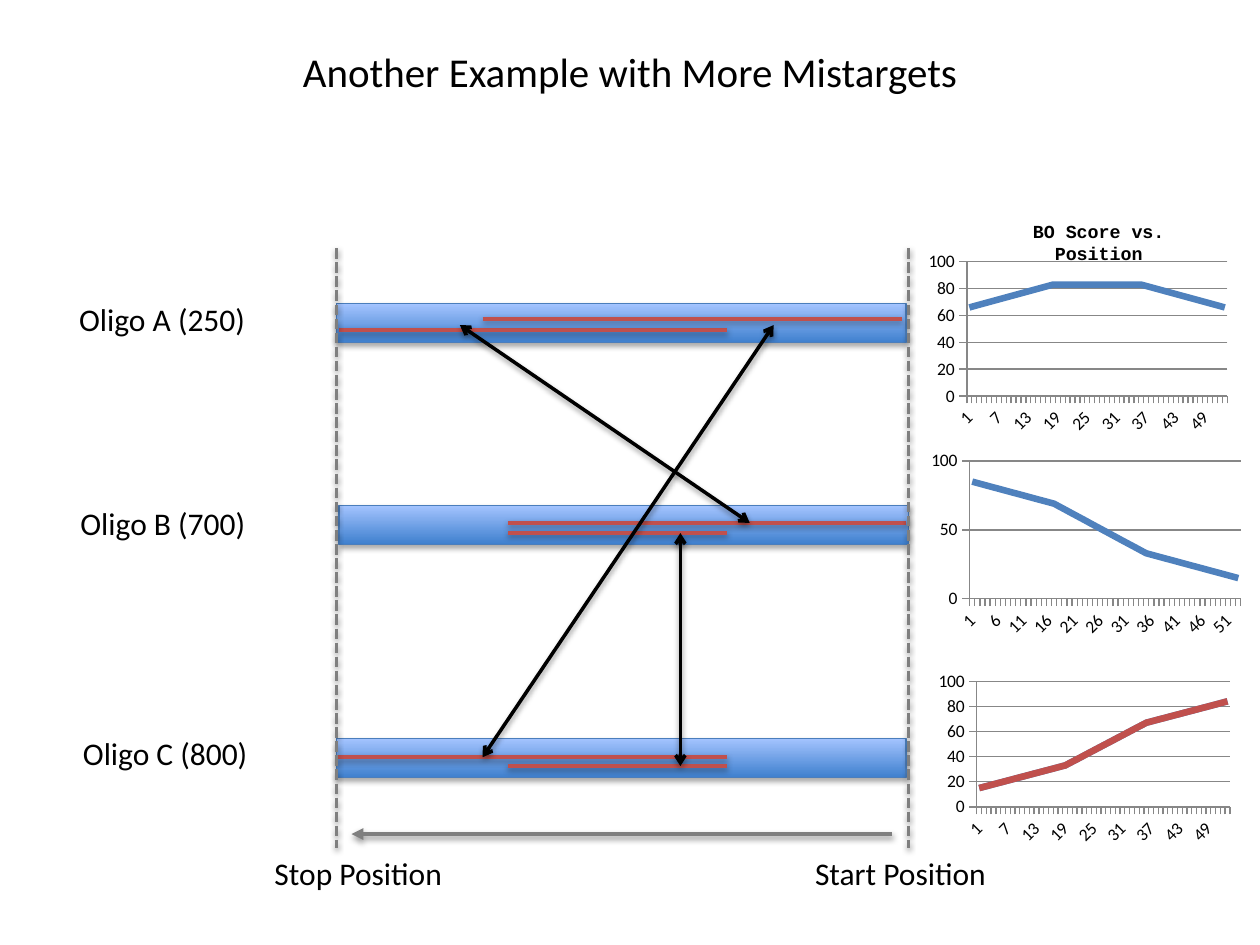
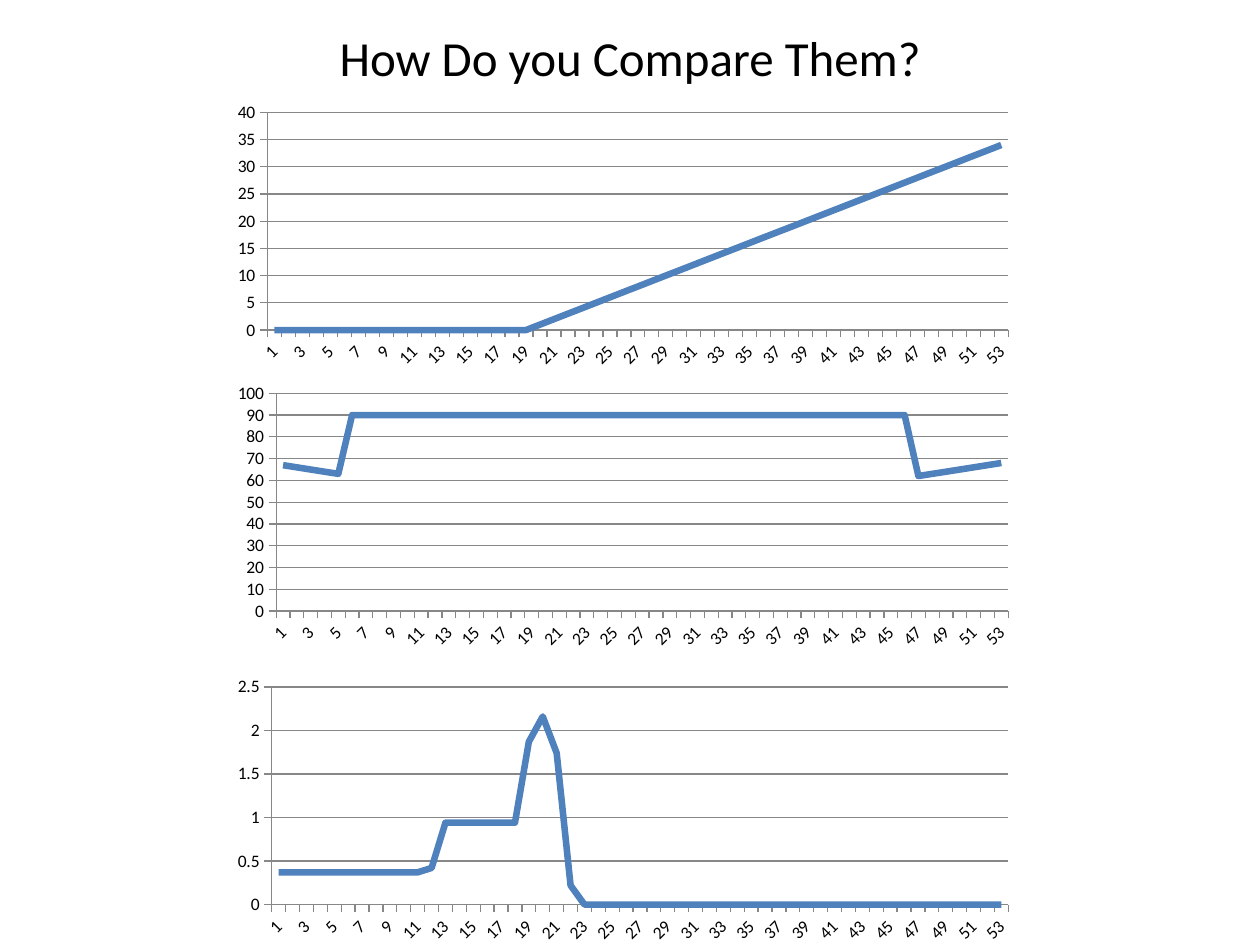
from lxml.etree import SubElement as Sub
from pptx import Presentation
from pptx.chart.data import CategoryChartData as Data
from pptx.dml.color import RGBColor
from pptx.enum.chart import XL_CHART_TYPE as Kind, XL_TICK_MARK as Tick
from pptx.enum.dml import MSO_LINE as Dash
from pptx.enum.shapes import MSO_CONNECTOR as Conn, MSO_SHAPE as Form
from pptx.enum.text import MSO_ANCHOR as Anchor, MSO_AUTO_SIZE as Fit, PP_ALIGN as Align
from pptx.oxml.ns import qn
from pptx.util import Inches, Pt

BLACK, GRAY, RED, BLUE = "000000", "7F7F7F", "C0504D", "4F81BD"
EDGE, DARK, LIGHT, GRID = "4B7EBC", "3F80CE", "A4C4FF", "878787"
BODY, MONO = "Calibri", "Courier New"


def tint(code):
    return RGBColor.from_string(code)


def span(*sizes):
    return [Inches(size) for size in sizes]


class Deck:
    """Holds the shared style and the slide being filled."""

    def __init__(self):
        self.show = Presentation()
        self.show.slide_width, self.show.slide_height = span(10, 7.5)

    def page(self, text, top, high, size):
        self.slide = self.show.slides.add_slide(self.show.slide_layouts[5])
        title = self.slide.shapes.title
        title.left, title.top, title.width, title.height = span(0.5, top, 9, high)
        title.text_frame.vertical_anchor = Anchor.MIDDLE
        self.letter(title.text_frame, text, size, align=Align.CENTER)

    def letter(self, frame, text, size, face=BODY, bold=False, align=Align.LEFT):
        frame.text = text
        para = frame.paragraphs[0]
        para.alignment = align
        font = para.font
        font.name, font.size, font.bold = face, Pt(size), bold
        font.color.rgb = tint(BLACK)

    def label(self, text, left, top, wide, high=0.4, size=18, wrap=False, **style):
        box = self.slide.shapes.add_textbox(*span(left, top, wide, high))
        frame = box.text_frame
        frame.word_wrap = wrap
        frame.auto_size = Fit.SHAPE_TO_FIT_TEXT
        self.letter(frame, text, size, **style)

    def shade(self, item, alpha, dist):
        props = item._element.spPr
        cast = Sub(Sub(props, qn("a:effectLst")), qn("a:outerShdw"), blurRad="40000",
                   dist=str(dist), dir="5400000", rotWithShape="0")
        black = Sub(cast, qn("a:srgbClr"), val=BLACK)
        Sub(black, qn("a:alpha"), val=str(alpha * 1000))

    def bar(self, left, top):
        bar = self.slide.shapes.add_shape(Form.RECTANGLE, *span(left, top, 4.52, 0.31))
        bar.fill.gradient()
        bar.fill.gradient_angle = 90
        for stop, code in zip(bar.fill.gradient_stops, (DARK, LIGHT)):
            stop.color.rgb = tint(code)
        bar.line.color.rgb = tint(EDGE)
        bar.line.width = Pt(0.75)
        self.shade(bar, 35, 23000)

    def line(self, ends, code, width=2, dash=None, head=None, tail=None):
        link = self.slide.shapes.add_connector(Conn.STRAIGHT, *span(*ends))
        link.line.color.rgb = tint(code)
        link.line.width = Pt(width)
        if dash:
            link.line.dash_style = dash
        stroke = link._element.spPr.find(qn("a:ln"))
        for tag, tip in (("a:headEnd", head), ("a:tailEnd", tail)):
            if tip:
                Sub(stroke, qn(tag), type=tip)
        self.shade(link, 38, 20000)

    def plot(self, place, *rows, step=None):
        data = Data()
        data.categories = [str(spot) for spot in range(1, 54)]
        for count, row in enumerate(rows, 1):
            data.add_series(f"Series {count}", row)
        chart = self.slide.shapes.add_chart(Kind.LINE, *span(*place), data).chart
        chart.has_title = chart.has_legend = False
        chart.font.name, chart.font.size = BODY, Pt(10)
        chart.font.color.rgb = tint(BLACK)
        chart.plots[0].vary_by_categories = False
        for row, code in zip(chart.plots[0].series, (BLUE, RED)):
            row.smooth = False
            row.format.line.color.rgb = tint(code)
            row.format.line.width = Pt(3.75)
        level = chart.value_axis
        level.has_major_gridlines = True
        if step:
            level.major_unit = step
        for axis in (chart.category_axis, level):
            axis.major_tick_mark = Tick.OUTSIDE
        for part in (chart.category_axis, level, level.major_gridlines):
            part.format.line.color.rgb = tint(GRID)
            part.format.line.width = Pt(0.75)


def targets(deck):
    deck.page("Another Example with More Mistargets", 0.17, 0.79, 23.4)
    for left, top in ((2.67, 2.41), (2.69, 4.01), (2.67, 5.86)):
        deck.bar(left, top)
    for start, end, high in ((2.69, 5.77, 2.62), (4.03, 7.19, 4.15), (2.68, 5.77, 6.01),
                             (3.83, 7.16, 2.53), (4.03, 5.77, 4.23), (4.03, 5.77, 6.08)):
        deck.line((start, high, end, high), RED)
    for ends in ((6.14, 2.58, 3.83, 6.01), (3.65, 2.58, 5.95, 4.15), (5.4, 4.23, 5.4, 6.08)):
        deck.line(ends, BLACK, head="arrow", tail="arrow")
    for text, left, top, wide in (
            ("Oligo A (250)", 0.53, 2.33, 1.53), ("Oligo B (700)", 0.54, 3.95, 1.53),
            ("Oligo C (800)", 0.56, 5.78, 1.52), ("Start Position", 6.37, 6.73, 1.58),
            ("Stop Position", 2.08, 6.73, 1.55)):
        deck.label(text, left, top, wide)
    deck.label("BO Score vs. Position", 7.77, 1.7, 1.9, 0.28, 10.5, wrap=True,
               face=MONO, bold=True, align=Align.CENTER)
    for left in (2.67, 7.21):
        deck.line((left, 1.97, left, 6.73), GRAY, dash=Dash.SQUARE_DOT)
    deck.line((7.08, 6.62, 2.79, 6.62), GRAY, 2.25, tail="triangle")
    hill = [*range(66, 84), *[83] * 18, *range(82, 65, -1)]
    rise = [*range(15, 34), *range(35, 68, 2), *range(68, 85)]
    fall = [*range(85, 68, -1), *range(67, 32, -2), *range(32, 14, -1)]
    deck.plot((7.32, 1.97, 2.47, 1.51), hill)
    deck.plot((7.4, 5.3, 2.41, 1.44), rise, rise)
    deck.plot((7.34, 3.55, 2.56, 1.54), fall, step=50)


def compare(deck):
    deck.page("How Do you Compare Them?", -0.17, 1.25, 28)
    ramp = [*[0] * 19, *range(1, 35)]
    shelf = [*range(67, 62, -1), *[90] * 41, *range(62, 69)]
    peak = [*[0.37] * 11, 0.42, *[0.94] * 6, 1.87, 2.16, 1.74, 0.22, *[0] * 31]
    for top, row in ((0.77, ramp), (3, shelf), (5.33, peak)):
        deck.plot((1.76, top, 6.37, 2.2), row)


def main():
    deck = Deck()
    targets(deck)
    compare(deck)
    deck.show.save("out.pptx")


if __name__ == "__main__":
    main()
